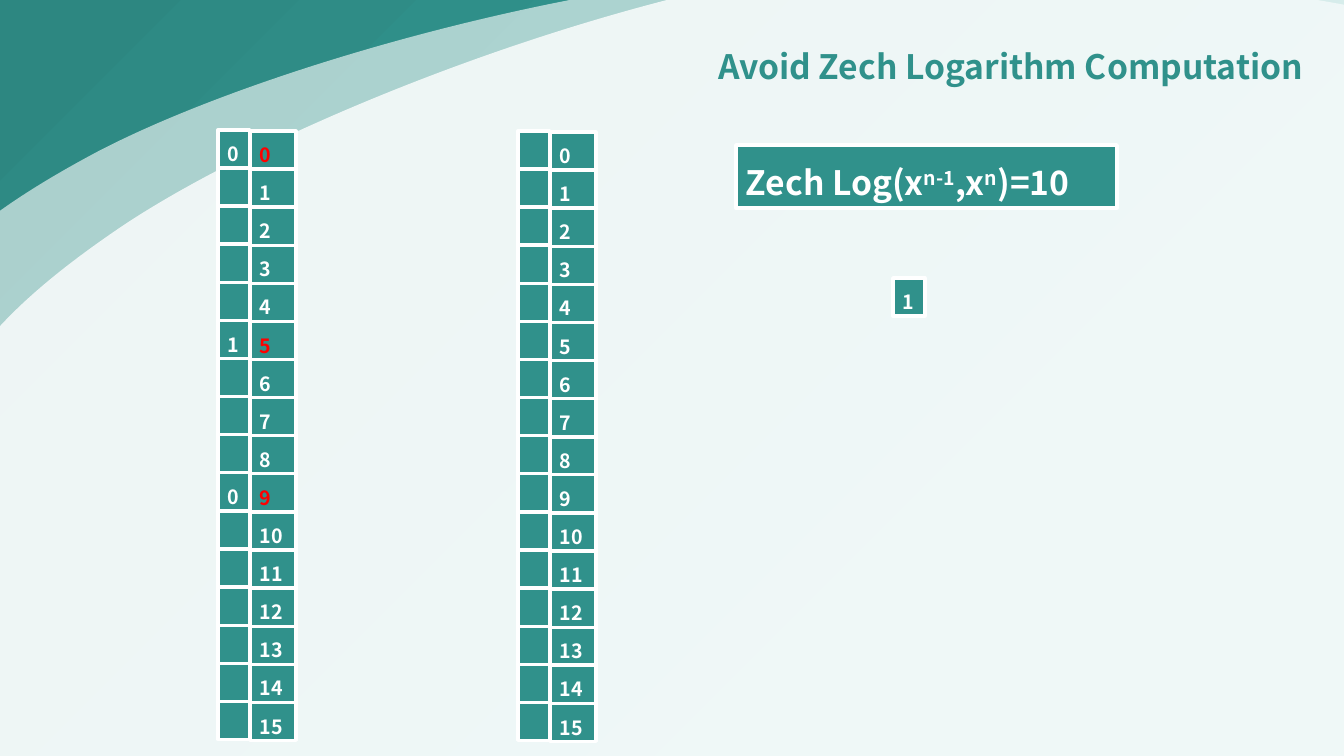
from copy import deepcopy
from dataclasses import dataclass

from lxml import etree
from pptx import Presentation
from pptx.dml.color import RGBColor
from pptx.enum.shapes import MSO_SHAPE
from pptx.enum.text import MSO_ANCHOR, MSO_AUTO_SIZE, PP_ALIGN
from pptx.oxml.ns import qn
from pptx.util import Pt

RECTANGLE = MSO_SHAPE.RECTANGLE
TOP, MIDDLE = MSO_ANCHOR.TOP, MSO_ANCHOR.MIDDLE
LEFT, RIGHT = PP_ALIGN.LEFT, PP_ALIGN.RIGHT
GROW, FIXED = MSO_AUTO_SIZE.SHAPE_TO_FIT_TEXT, MSO_AUTO_SIZE.NONE

PX = 914400 / 100.8
TITLE_ONLY = 5
SLIDE_WIDTH, SLIDE_HEIGHT = 1344, 756


@dataclass(frozen=True)
class Theme:
    font: str = "Noto Sans CJK SC"
    teal: str = "30918B"
    white: str = "FFFFFF"
    red: str = "FF0000"
    backdrop: tuple = ((0, "39ACA5"), (23, "39ACA5"), (69, "30918B"), (97, "2D8781"))
    heading_size: int = 24
    cell_size: int = 14
    thin_line: float = 2.25
    line: float = 2.5


THEME = Theme()

# Cell grid
ROWS = 16
ROW_PITCH = 38.1
CELL_HEIGHT, TALL_HEIGHT = 38, 41
FLAG_WIDTH, INDEX_WIDTH = 32, 46
INDEX_OFFSET = 32
TALL_ROWS = {1, 2, 3, 4, 10, 14}

# Outline of a pale sheet, in px from its own corner: start, then Bezier segments
SHEET_WIDTH, SHEET_HEIGHT = 2060, 1001
SHEET_START = (59, 426)
SHEET_CURVES = (
    ((92, 333), (134, 270), (292, 186)),
    ((449, 104), (764, 14), (1015, 2)),
    ((1267, -10), (1642, 33), (1800, 117)),
    ((1958, 199), (2137, 453), (2028, 584)),
    ((1917, 716), (1337, 972), (1015, 999)),
    ((692, 1025), (247, 825), (90, 742)),
    ((-68, 659), (26, 519), (59, 426)),
)


def px(length):
    return round(length * PX)


def paint(shape, fill, line=None):
    """Set a plain fill and an optional line, without a shadow."""
    shape.shadow.inherit = False
    shape.fill.solid()
    shape.fill.fore_color.rgb = RGBColor.from_string(fill)
    if line:
        shape.line.color.rgb = RGBColor.from_string(THEME.white)
        shape.line.width = Pt(line)
    else:
        shape.line.fill.background()


def write_text(shape, text, *, size, color, align=LEFT, anchor=TOP,
               spacing=1.3, before=6, fit=GROW):
    """Write a string, or (string, superscript percent) pairs, in one paragraph."""
    frame = shape.text_frame
    frame.word_wrap = True
    frame.auto_size = fit
    frame.vertical_anchor = anchor
    paragraph = frame.paragraphs[0]
    paragraph.alignment = align
    paragraph.line_spacing = spacing
    paragraph.space_before = Pt(before)
    for part, raised in [(text, 0)] if isinstance(text, str) else text:
        run = paragraph.add_run()
        run.text = part
        run.font.name = THEME.font
        run.font.size = Pt(size)
        run.font.bold = True
        run.font.color.rgb = RGBColor.from_string(color)
        if raised:
            run._r.get_or_add_rPr().set("baseline", str(raised * 1000))


def add_box(slide, left, top, width, height, text="", *, size=THEME.cell_size,
            color=THEME.white, line=THEME.line):
    box = slide.shapes.add_shape(RECTANGLE, px(left), px(top), px(width), px(height))
    paint(box, THEME.teal, line)
    if text:
        write_text(box, text, size=size, color=color)


def add_backdrop(slide):
    backdrop = slide.shapes.add_shape(
        RECTANGLE, 0, 0, px(SLIDE_WIDTH), px(SLIDE_HEIGHT))
    backdrop.shadow.inherit = False
    backdrop.line.fill.background()
    backdrop.fill.gradient()
    backdrop.fill.gradient_angle = 135
    # Extend the default pair of stops to the theme's list
    stop_list = backdrop._element.spPr.find(".//" + qn("a:gsLst"))
    for _ in range(len(THEME.backdrop) - len(stop_list)):
        stop_list.append(deepcopy(stop_list[0]))
    for stop, (position, color) in zip(backdrop.fill.gradient_stops, THEME.backdrop):
        stop.position = position / 100
        stop.color.rgb = RGBColor.from_string(color)


def add_sheet(slide, left, top, *, opacity, rotation=0):
    builder = slide.shapes.build_freeform(*SHEET_START, scale=PX)
    builder.add_line_segments([curve[-1] for curve in SHEET_CURVES], close=True)
    sheet = builder.convert_to_shape()
    sheet.left, sheet.top = px(left), px(top)
    sheet.width, sheet.height = px(SHEET_WIDTH), px(SHEET_HEIGHT)
    sheet.rotation = rotation
    paint(sheet, THEME.white)
    properties = sheet._element.spPr
    color = properties.find(qn("a:solidFill"))[0]
    etree.SubElement(color, qn("a:alpha")).set("val", str(opacity * 1000))
    # Turn the straight segments into Bezier curves
    outline = properties.find(".//" + qn("a:pathLst"))[0]
    outline.set("w", str(SHEET_WIDTH))
    outline.set("h", str(SHEET_HEIGHT))
    for segment in list(outline):
        outline.remove(segment)
    for tag, points in [("a:moveTo", [SHEET_START]),
                        *(("a:cubicBezTo", curve) for curve in SHEET_CURVES),
                        ("a:close", [])]:
        segment = etree.SubElement(outline, qn(tag))
        for x, y in points:
            point = etree.SubElement(segment, qn("a:pt"))
            point.set("x", str(x))
            point.set("y", str(y))


def add_title(slide, text):
    title = slide.shapes.title
    title.left, title.top, title.width, title.height = map(px, (635, 29, 678, 80))
    write_text(title, text, size=THEME.heading_size, color=THEME.teal, align=RIGHT,
               anchor=MIDDLE, spacing=0.9, before=10, fit=FIXED)
    # Bring the title in front of the backdrop
    slide.shapes._spTree.append(title._element)


def add_register(slide, left, top, flags, tall_rows):
    """Draw numbered cells, then flag cells beside them; flagged numbers are red."""
    tops = [top + row * ROW_PITCH for row in range(ROWS)]
    lines = [THEME.line if row % 3 else THEME.thin_line for row in range(ROWS)]
    for row in range(ROWS):
        add_box(slide, left + INDEX_OFFSET, tops[row], INDEX_WIDTH,
                TALL_HEIGHT if row in tall_rows else CELL_HEIGHT, str(row),
                color=THEME.red if row in flags else THEME.white, line=lines[row])
    for row in range(ROWS):
        add_box(slide, left, tops[row] - 1, FLAG_WIDTH, CELL_HEIGHT,
                flags.get(row, ""), line=lines[row])


def main():
    presentation = Presentation()
    presentation.slide_width = px(SLIDE_WIDTH)
    presentation.slide_height = px(SLIDE_HEIGHT)
    slide = presentation.slides.add_slide(presentation.slide_layouts[TITLE_ONLY])

    # Background
    add_backdrop(slide)
    add_sheet(slide, -195, -34, opacity=60)
    add_sheet(slide, -139, -39, opacity=80, rotation=354.1)

    add_title(slide, "Avoid Zech Logarithm Computation")

    # Registers
    add_register(slide, 218, 131, {0: "0", 5: "1", 9: "0"}, TALL_ROWS)
    add_register(slide, 518, 132, {}, TALL_ROWS | {0})

    # Single value and formula
    add_box(slide, 893, 278, FLAG_WIDTH, CELL_HEIGHT, "1")
    formula = (("Zech Log(x", 0), ("n-1", 30), (",x", 0), ("n", 30), (")=10", 0))
    add_box(slide, 736, 145, 381, 63, formula, size=THEME.heading_size)

    presentation.save("out.pptx")


if __name__ == "__main__":
    main()
